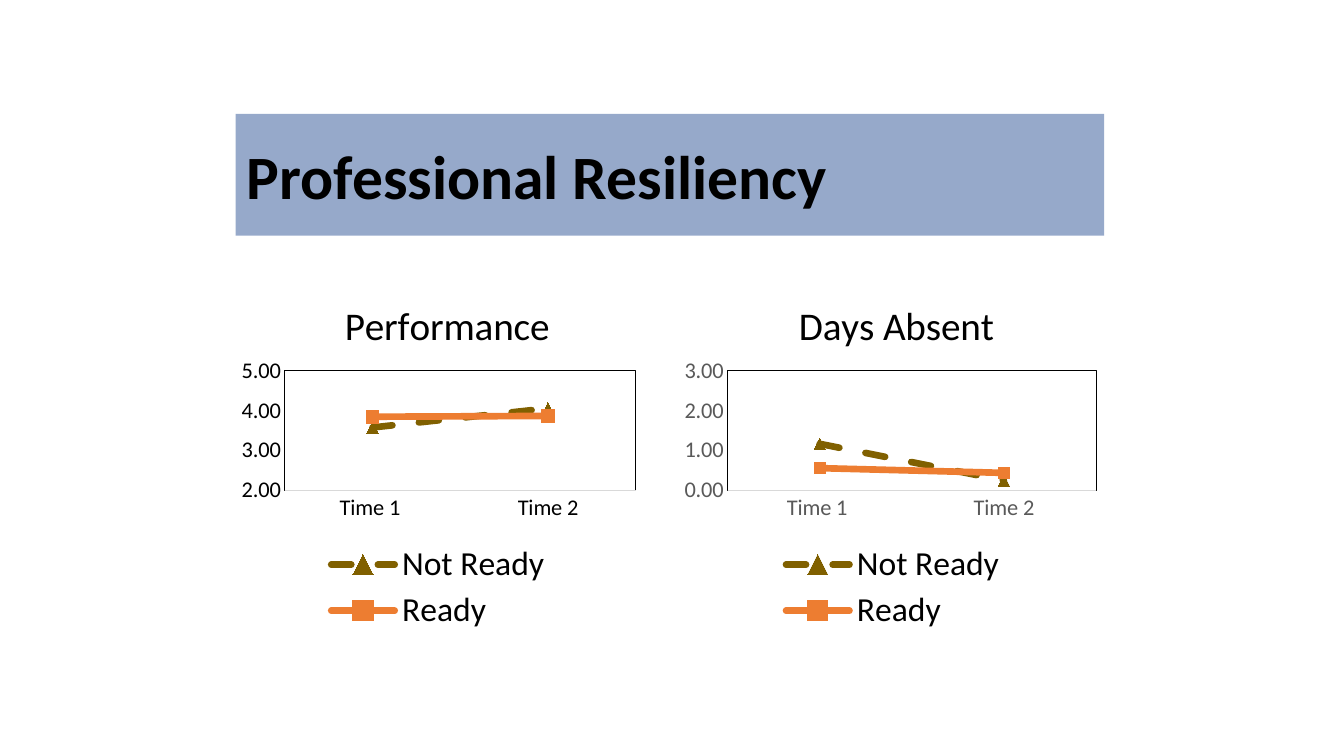
from typing import NamedTuple

from lxml.etree import SubElement
from pptx import Presentation
from pptx.chart.chart import Chart
from pptx.chart.data import CategoryChartData
from pptx.dml.color import RGBColor
from pptx.enum.chart import XL_CHART_TYPE as ChartType
from pptx.enum.chart import XL_LEGEND_POSITION as LegendPosition
from pptx.enum.chart import XL_MARKER_STYLE as Marker
from pptx.enum.chart import XL_TICK_MARK as TickMark
from pptx.enum.dml import MSO_LINE_DASH_STYLE as Dash
from pptx.enum.shapes import MSO_SHAPE as Shape
from pptx.enum.text import MSO_ANCHOR as Anchor
from pptx.oxml import parse_xml
from pptx.oxml.ns import nsdecls, qn
from pptx.util import Cm, Pt

FONT = "Calibri"
BLACK, GREY, PALE_GREY = "000000", "595959", "D9D9D9"
TIMES = ("Time 1 ", "Time 2")


class Group(NamedTuple):
    name: str
    color: str
    marker: Marker
    dash: Dash


class Region(NamedTuple):
    """Place within a chart, as fractions of its size."""
    x: float
    y: float
    w: float | None = None
    h: float | None = None


class Measure(NamedTuple):
    title: str
    left: float
    width: float
    axis_range: tuple[int, int]
    axis_color: str
    values: tuple[tuple[float, float], ...]
    marker_sizes: tuple[int, int]
    title_at: Region
    plot_at: Region
    legend_at: Region


GROUPS = (
    Group("Not Ready", "806000", Marker.TRIANGLE, Dash.DASH),
    Group("Ready", "ED7D31", Marker.SQUARE, Dash.SOLID),
)
MEASURES = (
    Measure("Performance", 5.94, 10.29, (2, 5), BLACK,
            ((3.58, 4.06), (3.85, 3.87)), (8, 9), Region(0.25, 0.07),
            Region(0.12, 0.28, 0.86, 0.32), Region(0.22, 0.73, 0.55, 0.26)),
    Measure("Days Absent", 17.04, 10.8, (0, 3), GREY,
            ((1.17, 0.25), (0.56, 0.44)), (8, 8), Region(0.27, 0.07),
            Region(0.12, 0.28, 0.86, 0.32), Region(0.24, 0.73, 0.53, 0.26)),
)


def rgb(color: str) -> RGBColor:
    return RGBColor.from_string(color)


def style_font(font, size: float, color: str = BLACK, bold: bool = False) -> None:
    font.name, font.size, font.bold = FONT, Pt(size), bold
    font.color.rgb = rgb(color)


def write(frame, text: str, *, size: float, bold: bool = False,
          line_spacing: float | None = None) -> None:
    frame.text = text
    paragraph = frame.paragraphs[0]
    paragraph.line_spacing = line_spacing
    style_font(paragraph.runs[0].font, size, bold=bold)


def place(part, region: Region, after: str | None = None, inner: bool = False) -> None:
    """Give a chart part a manual layout, following its child named after."""
    for old in part.findall(qn("c:layout")):
        part.remove(old)
    layout = parse_xml(f"<c:layout {nsdecls('c')}><c:manualLayout/></c:layout>")
    settings = [("layoutTarget", "inner")] if inner else []
    settings += [("xMode", "edge"), ("yMode", "edge")]
    settings += [(k, str(v)) for k, v in region._asdict().items() if v is not None]
    for tag, value in settings:
        SubElement(layout[0], qn(f"c:{tag}")).set("val", value)
    if after:
        part.find(qn(after)).addnext(layout)
    else:
        part.insert(0, layout)


def style_axes(chart: Chart, measure: Measure) -> None:
    times, scale = chart.category_axis, chart.value_axis
    for axis in (times, scale):
        axis.major_tick_mark = axis.minor_tick_mark = TickMark.NONE
        axis.has_major_gridlines = False
        style_font(axis.tick_labels.font, 16, measure.axis_color)
    times.format.line.color.rgb = rgb(PALE_GREY)
    times.format.line.width = Pt(0.75)
    scale.format.line.fill.background()
    scale.minimum_scale, scale.maximum_scale = measure.axis_range
    scale.major_unit = 1
    scale.tick_labels.number_format = "0.00"
    scale.tick_labels.number_format_is_linked = False


def style_series(chart: Chart, measure: Measure) -> None:
    plot = chart.plots[0]
    plot.vary_by_categories = False
    for series, group, size in zip(plot.series, GROUPS, measure.marker_sizes):
        series.smooth = False
        line, marker = series.format.line, series.marker
        line.color.rgb = rgb(group.color)
        line.width, line.dash_style = Pt(4.75), group.dash
        line._ln.set("cap", "rnd")
        marker.style, marker.size = group.marker, size
        marker.format.fill.solid()
        marker.format.fill.fore_color.rgb = rgb(group.color)
        marker.format.line.fill.background()


def add_measure(slide, measure: Measure) -> None:
    data = CategoryChartData(number_format="0.00")
    data.categories = TIMES
    for group, values in zip(GROUPS, measure.values):
        data.add_series(group.name, values)
    chart = slide.shapes.add_chart(
        ChartType.LINE_MARKERS, Cm(measure.left), Cm(6.71),
        Cm(measure.width), Cm(9.42), data).chart
    style_font(chart.font, 16)
    style_axes(chart, measure)
    style_series(chart, measure)

    chart.has_title = True
    write(chart.chart_title.text_frame, measure.title, size=28)
    place(chart.chart_title._element, measure.title_at, after="c:tx")

    chart.has_legend = True
    legend = chart.legend
    legend.position, legend.include_in_layout = LegendPosition.BOTTOM, False
    style_font(legend.font, 24)
    place(legend._element, measure.legend_at, after="c:legendPos")

    plot_area = chart._chartSpace.chart.plotArea
    place(plot_area, measure.plot_at, inner=True)
    plot_area.append(parse_xml(
        f'<c:spPr {nsdecls("c", "a")}><a:noFill/><a:ln w="{Pt(0.75)}"><a:solidFill>'
        f'<a:srgbClr val="{BLACK}"/></a:solidFill></a:ln></c:spPr>'))


def add_banner(slide) -> None:
    banner = slide.shapes.add_shape(
        Shape.RECTANGLE, Cm(5.94), Cm(2.87), Cm(21.89), Cm(3.07))
    banner.shadow.inherit = False
    banner.line.fill.background()
    banner.fill.solid()
    banner.fill.fore_color.rgb = rgb("2F5597")
    tint = banner._element.spPr.find(f"{qn('a:solidFill')}/{qn('a:srgbClr')}")
    SubElement(tint, qn("a:alpha")).set("val", "50000")


def add_heading(slide) -> None:
    frame = slide.shapes.add_textbox(
        Cm(5.97), Cm(2.69), Cm(21.89), Cm(3.68)).text_frame
    frame.word_wrap = True
    frame.vertical_anchor = Anchor.MIDDLE
    write(frame, "Professional Resiliency", size=44, bold=True, line_spacing=0.9)


def main() -> None:
    deck = Presentation()
    deck.slide_width, deck.slide_height = Cm(33.87), Cm(19.05)
    slide = deck.slides.add_slide(deck.slide_layouts[6])
    add_banner(slide)
    for measure in MEASURES:
        add_measure(slide, measure)
    add_heading(slide)
    deck.save("out.pptx")


if __name__ == "__main__":
    main()
